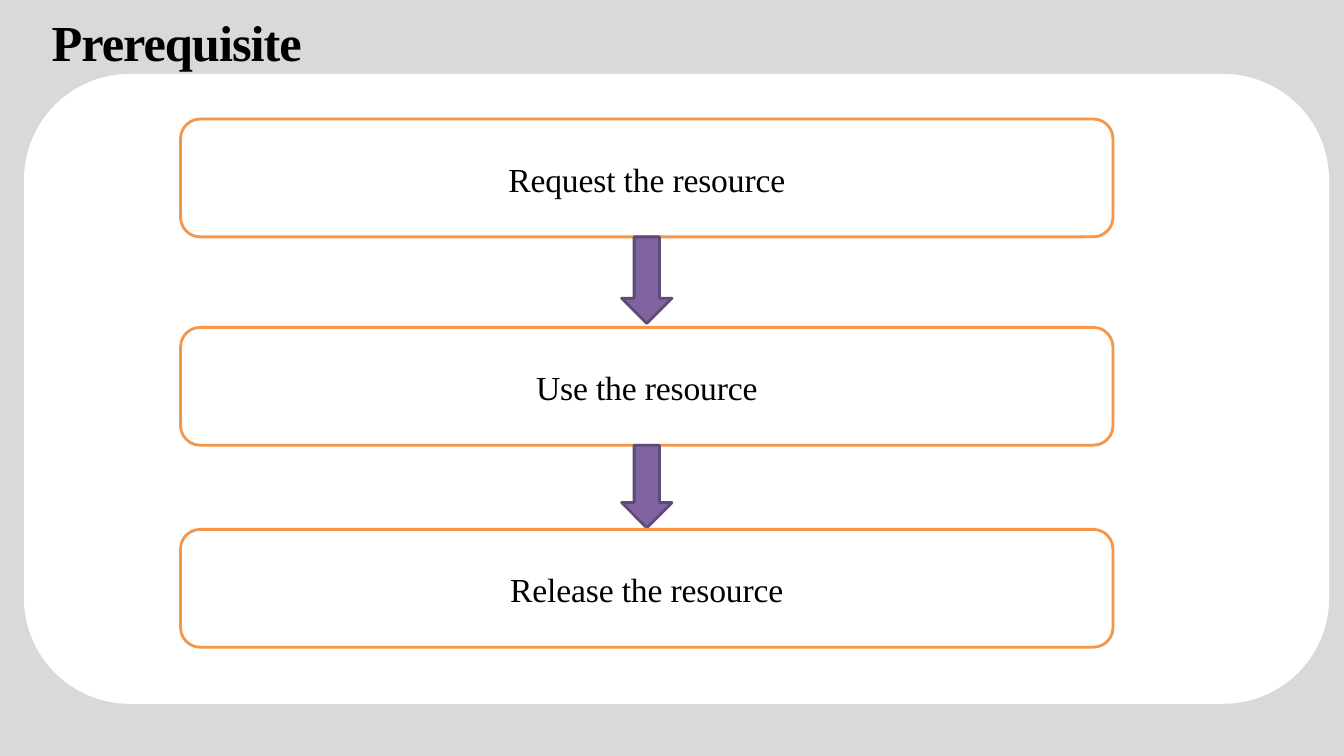
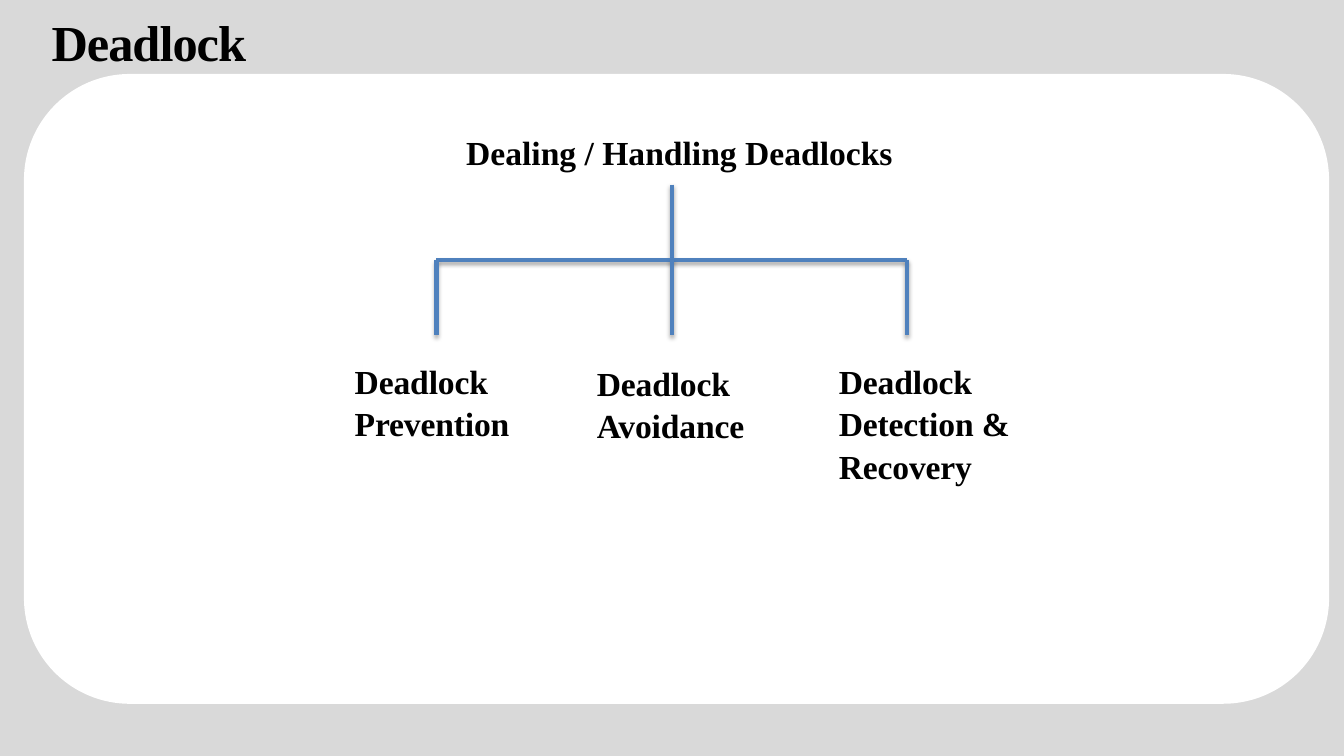
from dataclasses import dataclass

from lxml.etree import SubElement
from pptx import Presentation
from pptx.dml.color import RGBColor
from pptx.enum.shapes import MSO_CONNECTOR, MSO_SHAPE
from pptx.enum.text import MSO_ANCHOR, MSO_AUTO_SIZE, PP_ALIGN
from pptx.oxml.ns import qn
from pptx.presentation import Presentation as Deck
from pptx.shapes.autoshape import Shape
from pptx.slide import Slide
from pptx.text.text import TextFrame
from pptx.util import Cm, Pt

COLORS = {
    "background": "D9D9D9",
    "panel": "FFFFFF",
    "text": "000000",
    "step_line": "F79646",
    "arrow": "8064A2",
    "arrow_line": "5F4A78",
    "tree": "4F81BD",
    "shadow": "000000",
}
FONT = "Times New Roman"


@dataclass(frozen=True)
class Box:
    """Position and size in centimetres."""
    left: float
    top: float
    width: float
    height: float

    @property
    def bottom(self) -> float:
        return self.top + self.height

    @property
    def center(self) -> float:
        return self.left + self.width / 2

    def lengths(self) -> tuple[Cm, Cm, Cm, Cm]:
        return Cm(self.left), Cm(self.top), Cm(self.width), Cm(self.height)


@dataclass(frozen=True)
class Step:
    text: str
    top: float
    arrow_height: float = 0


@dataclass(frozen=True)
class Branch:
    text: str
    top: float
    width: float
    height: float


PANEL = Box(0.64, 1.9, 32.82, 15.8)
TITLE = Box(1.27, 0.18, 22.3, 1.57)

STEP_LEFT, STEP_WIDTH, STEP_HEIGHT = 4.55, 23.5, 2.97
ARROW_WIDTH = 1.27
STEPS = [
    Step("Request the resource", 3, 2.18),
    Step("Use the resource", 8.25, 2.08),
    Step("Release the resource", 13.34),
]

HEADING = Box(11.5, 3.15, 11.86, 1.27)
BAR_LEFT, BAR_RIGHT, BAR_TOP, DROP = 11, 22.86, 6.55, 1.9
BRANCH_LEFT, BRANCH_STEP = 8.69, 6.1
BRANCHES = [
    Branch("Deadlock Prevention", 8.92, 4.65, 2.31),
    Branch("Deadlock Avoidance", 8.97, 4.32, 2.31),
    Branch("Deadlock Detection & Recovery", 8.92, 4.98, 3.33),
]


def color(name: str) -> RGBColor:
    return RGBColor.from_string(COLORS[name])


def write(frame: TextFrame, text: str, size: float, bold: bool = False,
          tracking: float = 0) -> None:
    """Fill a frame with one paragraph; tracking is in points."""
    frame.word_wrap = True
    paragraph = frame.paragraphs[0]
    paragraph.line_spacing = 1.05
    run = paragraph.add_run()
    run.text = text
    if tracking:
        run._r.get_or_add_rPr().set("spc", str(round(tracking * 100)))
    font = paragraph.font
    font.name, font.size, font.bold = FONT, Pt(size), bold
    font.color.rgb = color("text")


def add_text(slide: Slide, box: Box, text: str, size: float = 24,
             tracking: float = 0) -> TextFrame:
    frame = slide.shapes.add_textbox(*box.lengths()).text_frame
    write(frame, text, size, True, tracking)
    frame.auto_size = MSO_AUTO_SIZE.SHAPE_TO_FIT_TEXT
    return frame


def add_filled(slide: Slide, kind: MSO_SHAPE, box: Box, fill: str, line: str) -> Shape:
    shape = slide.shapes.add_shape(kind, *box.lengths())
    shape.shadow.inherit = False
    shape.fill.solid()
    shape.fill.fore_color.rgb = color(fill)
    shape.line.color.rgb = color(line)
    shape.line.width = Pt(2)
    return shape


def add_tree_line(slide: Slide, left: float, top: float, right: float, bottom: float) -> None:
    """Draw a straight line with a soft shadow below it."""
    connector = slide.shapes.add_connector(
        MSO_CONNECTOR.STRAIGHT, Cm(left), Cm(top), Cm(right), Cm(bottom))
    connector.line.color.rgb = color("tree")
    connector.line.width = Pt(3)
    effects = SubElement(connector._element.spPr, qn("a:effectLst"))
    shadow = SubElement(effects, qn("a:outerShdw"), blurRad=str(Pt(3.1)),
                        dist=str(Pt(1.8)), dir="5400000", rotWithShape="0")
    shade = SubElement(shadow, qn("a:srgbClr"), val=COLORS["shadow"])
    SubElement(shade, qn("a:alpha"), val="35000")


def add_titled_slide(presentation: Deck, title: str) -> Slide:
    slide = presentation.slides.add_slide(presentation.slide_layouts[6])
    slide.background.fill.solid()
    slide.background.fill.fore_color.rgb = color("background")
    add_filled(slide, MSO_SHAPE.ROUNDED_RECTANGLE, PANEL, "panel", "panel")
    frame = add_text(slide, TITLE, title, 36, -0.7)
    frame.margin_left = frame.margin_top = Cm(0.03)
    frame.margin_right = frame.margin_bottom = 0
    frame.paragraphs[0].space_before = Pt(1)
    return slide


def add_prerequisite_slide(presentation: Deck) -> None:
    slide = add_titled_slide(presentation, "Prerequisite")
    for step in STEPS:
        box = Box(STEP_LEFT, step.top, STEP_WIDTH, STEP_HEIGHT)
        shape = add_filled(slide, MSO_SHAPE.ROUNDED_RECTANGLE, box, "panel", "step_line")
        write(shape.text_frame, step.text, 24, tracking=-0.1)
        shape.text_frame.vertical_anchor = MSO_ANCHOR.MIDDLE
        shape.text_frame.paragraphs[0].alignment = PP_ALIGN.CENTER
        if step.arrow_height:
            arrow = Box(box.center - ARROW_WIDTH / 2, box.bottom, ARROW_WIDTH, step.arrow_height)
            add_filled(slide, MSO_SHAPE.DOWN_ARROW, arrow, "arrow", "arrow_line")


def add_deadlock_slide(presentation: Deck) -> None:
    slide = add_titled_slide(presentation, "Deadlock")
    add_text(slide, HEADING, "Dealing / Handling Deadlocks")
    middle = (BAR_LEFT + BAR_RIGHT) / 2
    add_tree_line(slide, middle, BAR_TOP - DROP, middle, BAR_TOP)
    add_tree_line(slide, BAR_LEFT, BAR_TOP, BAR_RIGHT, BAR_TOP)
    for index, (branch, x) in enumerate(zip(BRANCHES, (BAR_LEFT, middle, BAR_RIGHT))):
        add_tree_line(slide, x, BAR_TOP, x, BAR_TOP + DROP)
        box = Box(BRANCH_LEFT + index * BRANCH_STEP, branch.top, branch.width, branch.height)
        add_text(slide, box, branch.text, tracking=-0.1)


def main() -> None:
    presentation = Presentation()
    presentation.slide_width = Cm(33.87)
    presentation.slide_height = Cm(19.05)
    add_prerequisite_slide(presentation)
    add_deadlock_slide(presentation)
    presentation.save("out.pptx")


if __name__ == "__main__":
    main()
